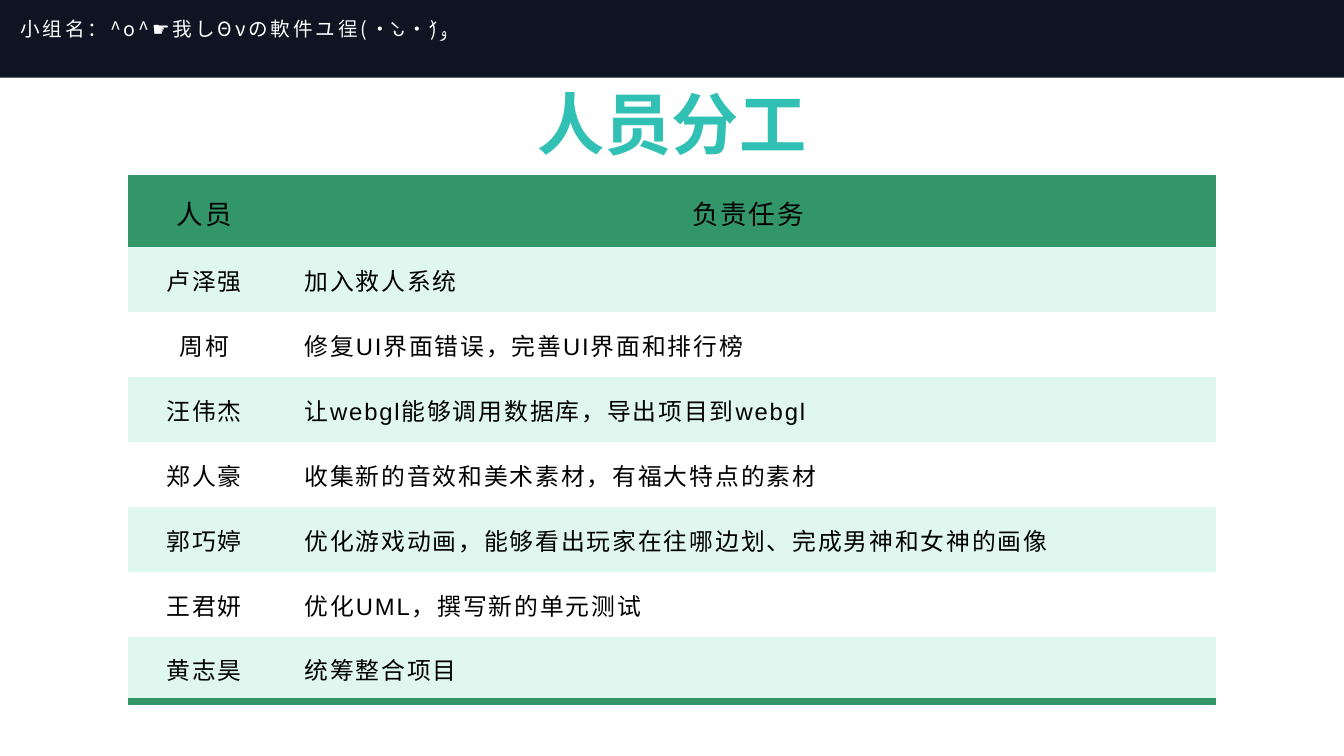
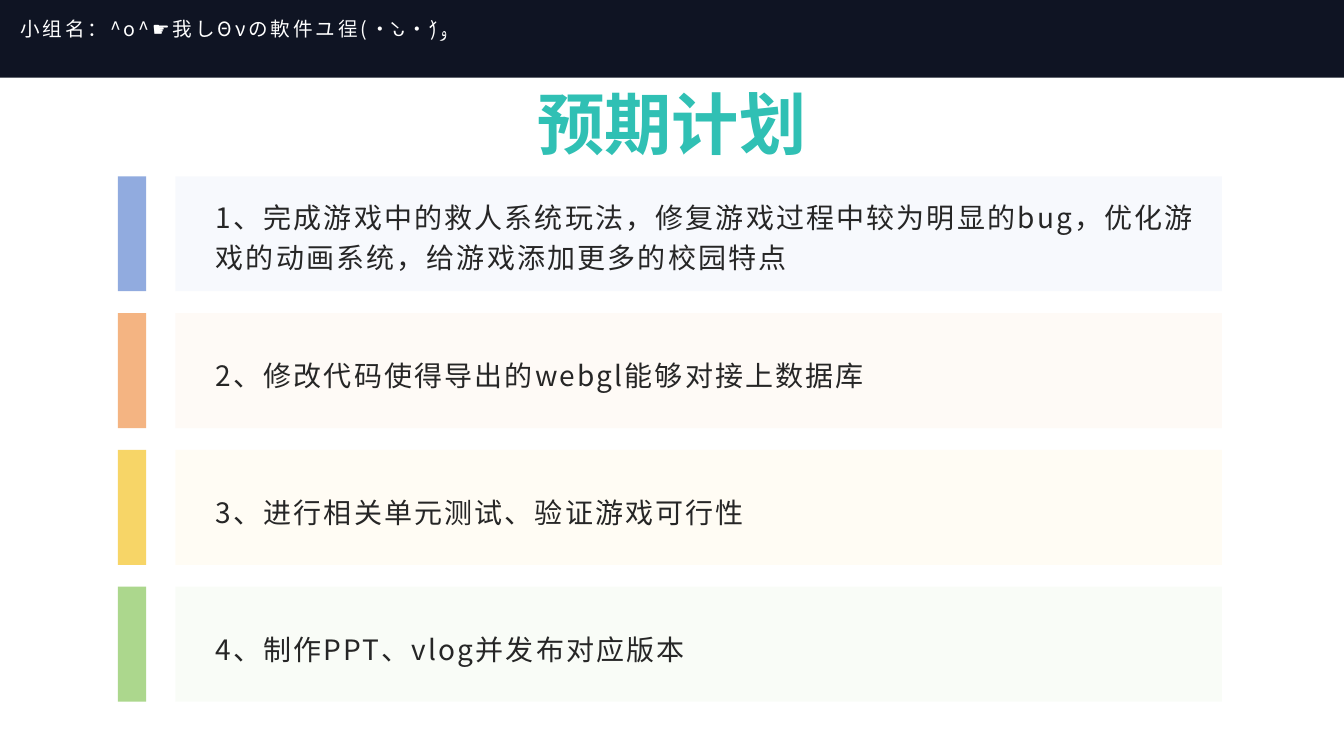
from lxml import etree
from pptx import Presentation
from pptx.dml.color import RGBColor
from pptx.enum.shapes import MSO_SHAPE
from pptx.enum.text import MSO_ANCHOR, MSO_AUTO_SIZE, PP_ALIGN
from pptx.oxml.ns import qn
from pptx.util import Inches, Pt

RECTANGLE = MSO_SHAPE.RECTANGLE
TOP, MIDDLE = MSO_ANCHOR.TOP, MSO_ANCHOR.MIDDLE
LEFT, CENTER = PP_ALIGN.LEFT, PP_ALIGN.CENTER
FIXED_SIZE = MSO_AUTO_SIZE.NONE

PAGE_WIDTH, PAGE_HEIGHT = 13.33, 7.5
TITLE_ONLY = 5
LATIN_FONT, HAN_FONT = "Arial", "Noto Sans CJK SC"
PLAIN_TABLE = "{2D5ABB26-0587-4C30-8999-92F81FD0307C}"
COLORS = {
    "band": "0F1423", "white": "FFFFFF", "title": "30C0B4",
    "black": "000000", "ink": "262626",
    "table_head": "339669", "table_stripe": "E0F7EF",
}
TEAM_NAME = "小组名：^o^☛我しΘνの軟件ユ徎(•̀ᴗ•́)و"
TASKS = [
    ("人员", "负责任务"),
    ("卢泽强", "加入救人系统"),
    ("周柯", "修复UI界面错误，完善UI界面和排行榜"),
    ("汪伟杰", "让webgl能够调用数据库，导出项目到webgl"),
    ("郑人豪", "收集新的音效和美术素材，有福大特点的素材"),
    ("郭巧婷", "优化游戏动画，能够看出玩家在往哪边划、完成男神和女神的画像"),
    ("王君妍", "优化UML，撰写新的单元测试"),
    ("黄志昊", "统筹整合项目"),
]
PLANS = [
    ("1、完成游戏中的救人系统玩法，修复游戏过程中较为明显的bug，优化游戏的动画系统，给游戏添加更多的校园特点",
     "4874CB", "DAE3F5", 1.2),
    ("2、修改代码使得导出的webgl能够对接上数据库", "EE822F", "FCE6D5", 1.3),
    ("3、进行相关单元测试、验证游戏可行性", "F2BA02", "FFF2CA", 1.3),
    ("4、制作PPT、vlog并发布对应版本", "75BD42", "E3F2D9", 1.3),
]


def rgb(value):
    """Turn a hex string into a colour."""
    return RGBColor.from_string(value)


def set_insets(target, left, top, right, bottom):
    """Set the four text margins of a frame or cell, in inches."""
    target.margin_left, target.margin_top = Inches(left), Inches(top)
    target.margin_right, target.margin_bottom = Inches(right), Inches(bottom)


def write(frame, text, size, color, font=HAN_FONT, align=LEFT, line=None,
          tracking=0, bold=False):
    """Fill a text frame with one formatted paragraph."""
    frame.text = text
    para = frame.paragraphs[0]
    para.alignment = align
    para.line_spacing = line
    style = para.font
    style.size, style.bold, style.name = Pt(size), bold, font
    style.color.rgb = rgb(color)
    properties = para._p.pPr.find(qn("a:defRPr"))
    properties.set("spc", str(round(tracking * 100)))
    etree.SubElement(properties, qn("a:ea")).set("typeface", font)


def add_block(page, box, color, opacity=100):
    """Add a borderless rectangle, optionally see-through."""
    block = page.shapes.add_shape(RECTANGLE, *map(Inches, box))
    block.shadow.inherit = False
    block.fill.solid()
    block.fill.fore_color.rgb = rgb(color)
    block.line.fill.background()
    if opacity < 100:
        fill = block._element.spPr.find(qn("a:solidFill"))
        etree.SubElement(fill[0], qn("a:alpha")).set("val", str(opacity * 1000))
    return block


def add_page(deck, heading):
    """Add a page with the team band and a centred title."""
    page = deck.slides.add_slide(deck.slide_layouts[TITLE_ONLY])
    add_block(page, (0, 0, PAGE_WIDTH, 0.77), COLORS["band"])
    team = page.shapes.add_textbox(*map(Inches, (0.13, 0.09, 4.6, 0.59))).text_frame
    team.word_wrap = True
    set_insets(team, 0.07, 0.03, 0.07, 0.03)
    write(team, TEAM_NAME, 14, COLORS["white"], line=1.2, tracking=2)

    title = page.shapes.title
    title.left, title.top, title.width, title.height = map(
        Inches, (5.23, 0.77, 2.87, 0.91))
    frame = title.text_frame
    frame.auto_size = FIXED_SIZE
    frame.word_wrap = False
    frame.vertical_anchor = TOP
    write(frame, heading, 48, COLORS["title"], LATIN_FONT, CENTER, bold=True)
    return page


def add_border(cell, side, color, width):
    """Draw one edge of a table cell."""
    edge = etree.Element(qn("a:" + side), w=str(Pt(width)))
    fill = etree.SubElement(edge, qn("a:solidFill"))
    etree.SubElement(fill, qn("a:srgbClr")).set("val", color)
    cell._tc.get_or_add_tcPr().insert(0, edge)


def add_task_table(page, box, rows):
    """Add the striped table of people and tasks."""
    left, top, width, height = box
    name_width, head_height = 1.51, 0.68
    row_height = (height - head_height) / (len(rows) - 1)
    holder = page.shapes.add_table(len(rows), 2, *map(Inches, box))
    next(holder._element.iter(qn("a:tableStyleId"))).text = PLAIN_TABLE
    table = holder.table
    table.first_row = table.horz_banding = False
    table.columns[0].width = Inches(name_width)
    table.columns[1].width = Inches(width - name_width)
    for index, values in enumerate(rows):
        is_head = index == 0
        table.rows[index].height = Inches(head_height if is_head else row_height)
        stripe = "table_head" if is_head else "table_stripe" if index % 2 else "white"
        for column, text in enumerate(values):
            cell = table.cell(index, column)
            cell.vertical_anchor = MIDDLE
            set_insets(cell, 0.24, 0.15, 0.24, 0.15)
            cell.fill.solid()
            cell.fill.fore_color.rgb = rgb(COLORS[stripe])
            write(cell.text_frame, text, 19 if is_head else 17, COLORS["black"],
                  LATIN_FONT, CENTER if is_head or column == 0 else LEFT,
                  1.2, 1.3)
            if is_head:
                add_border(cell, "lnT", COLORS["table_head"], 6)
            elif index == len(rows) - 1:
                add_border(cell, "lnB", COLORS["table_head"], 6)


def add_plan_card(page, box, plan):
    """Add a tinted panel with its text and a marker on the left."""
    left, top, width, height = box
    text, marker, tint, line = plan
    offset = 0.57
    panel = add_block(page, (left + offset, top, width - offset, height), tint, 20)
    add_block(page, (left, top, 0.28, height), marker, 60)
    frame = panel.text_frame
    frame.word_wrap = True
    frame.vertical_anchor = MIDDLE
    set_insets(frame, 0.4, 0.05, 0.25, 0.05)
    write(frame, text, 20, COLORS["ink"], line=line, tracking=1.5)


def add_plan_list(page, box, plans):
    """Stack the plan cards evenly in the box."""
    left, top, width, height = box
    card_height = 1.14
    pitch = (height - card_height) / (len(plans) - 1)
    for index, plan in enumerate(plans):
        add_plan_card(page, (left, top + index * pitch, width, card_height), plan)


def main():
    """Build and save the deck."""
    deck = Presentation()
    deck.slide_width, deck.slide_height = Inches(PAGE_WIDTH), Inches(PAGE_HEIGHT)
    add_task_table(add_page(deck, "人员分工"), (1.27, 1.77, 10.79, 5.19), TASKS)
    add_plan_list(add_page(deck, "预期计划"), (1.17, 1.75, 10.95, 5.21), PLANS)
    deck.save("out.pptx")


if __name__ == "__main__":
    main()
